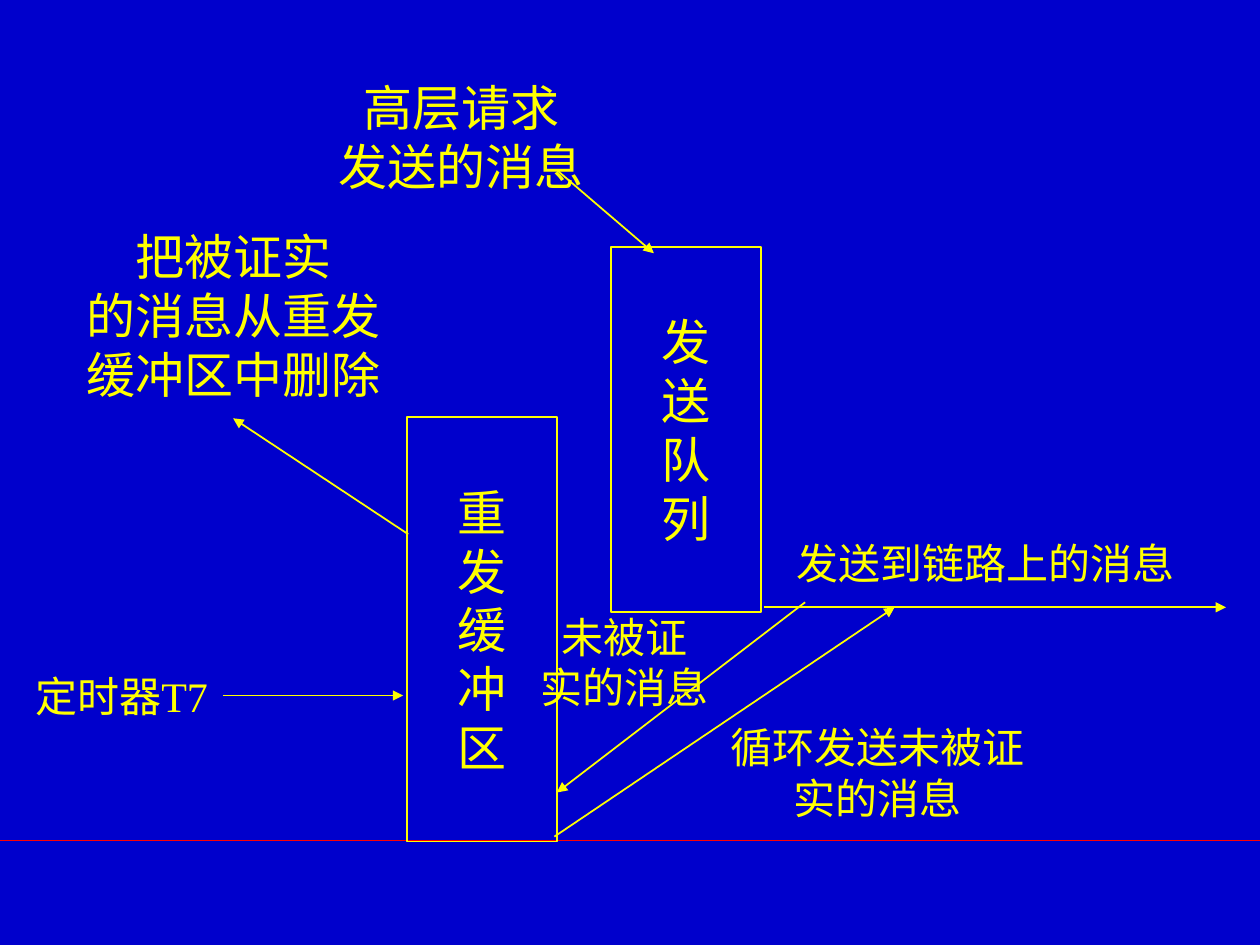
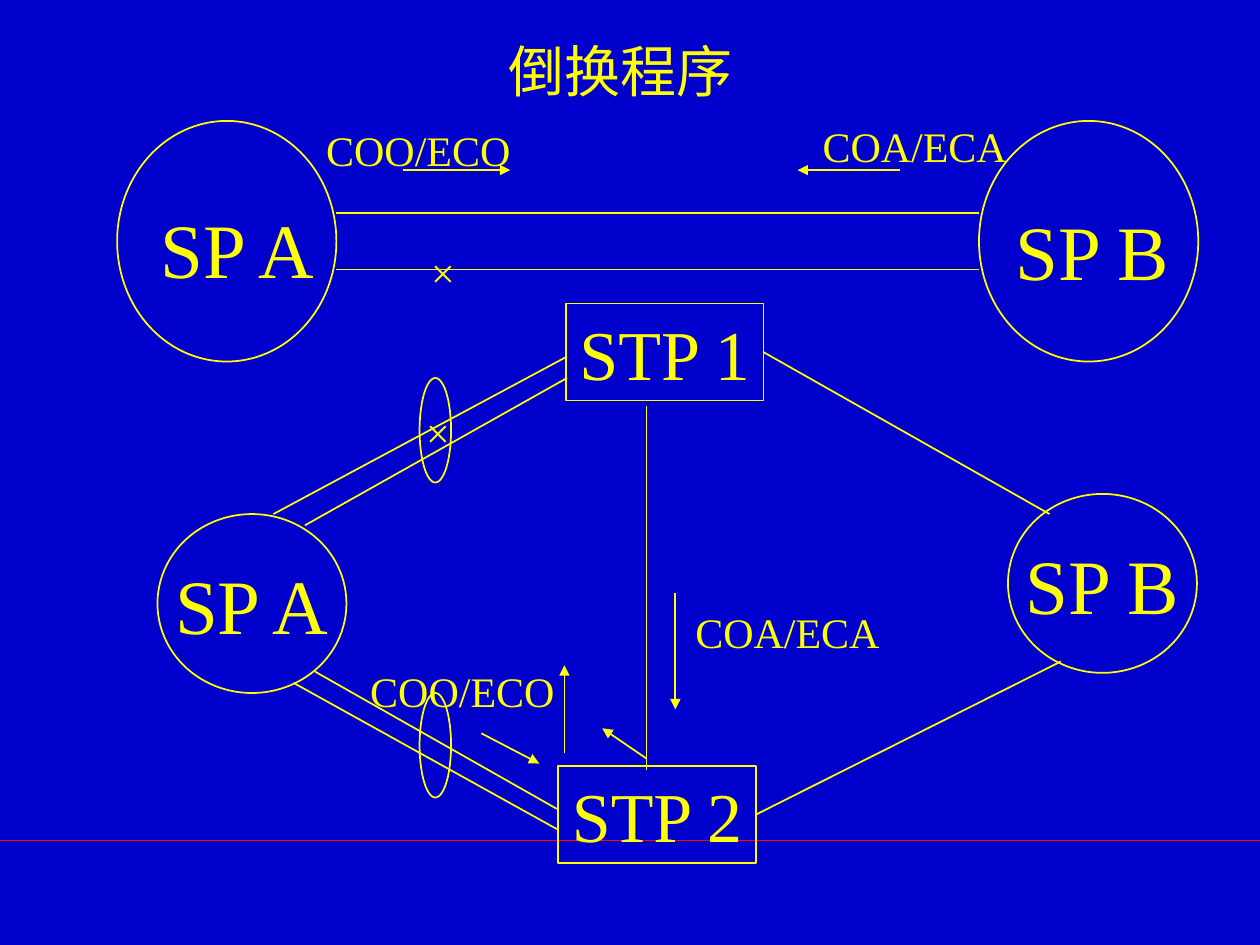
from lxml import etree
from pptx import Presentation
from pptx.dml.color import RGBColor
from pptx.enum.shapes import MSO_CONNECTOR, MSO_SHAPE
from pptx.enum.text import MSO_ANCHOR, MSO_AUTO_SIZE, PP_ALIGN
from pptx.oxml.ns import qn
from pptx.util import Inches, Pt

STRAIGHT = MSO_CONNECTOR.STRAIGHT
RECT, OVAL = MSO_SHAPE.RECTANGLE, MSO_SHAPE.OVAL
TITLE_ONLY, BLANK = 5, 6
RIGHT_SIDE = 3

COLORS = {"background": "0000CC", "ink": "FFFF00", "rule": "FF0000"}
FONT = "Times New Roman"
FRAME_FORMAT = {
    "word_wrap": False,
    "auto_size": MSO_AUTO_SIZE.NONE,
    "vertical_anchor": MSO_ANCHOR.MIDDLE,
    "margin_left": Inches(0.1),
    "margin_right": Inches(0.1),
    "margin_top": Inches(0.05),
    "margin_bottom": Inches(0.05),
}
FOOTER_RULE = ((0, 6.67), (10, 6.67))

# Slide 1: sending queue and retransmission buffer
# Boxes and labels: lines of text, (left, top, width, height), size
QUEUES = [
    (list("发送队列"), (4.85, 1.96, 1.19, 2.9), 28),
    (list("重发缓冲区"), (3.23, 3.31, 1.19, 3.37), 28),
]
MESSAGE_LABELS = [
    (["高层请求", "发送的消息"], (2.59, 0.56, 2.14, 1.04), 28),
    (["把被证实", "的消息从重发", "缓冲区中删除"], (0.59, 1.75, 2.53, 1.5), 28),
    (["发送到链路上的消息"], (6.22, 4.22, 3.2, 0.5), 24),
    (["未被证", "实的消息"], (4.19, 4.8, 1.53, 0.9), 24),
    (["定时器T7"], (0.14, 5.27, 1.65, 0.5), 24),
    (["循环发送未被证", "实的消息"], (5.7, 5.68, 2.53, 0.9), 24),
]
MESSAGE_FLOWS = [
    ((4.42, 1.35), (5.19, 2.01)),
    ((6.06, 4.82), (9.73, 4.82)),
    ((6.39, 4.78), (4.42, 6.29)),
    ((3.24, 4.24), (1.85, 3.32)),
    ((1.77, 5.52), (3.2, 5.52)),
    ((4.4, 6.64), (7.1, 4.82)),
]

# Slide 2: changeover procedure
CHANGEOVER_TITLE = ("倒换程序", (3.61, 0.24, 2.43, 0.64), 32)
DIRECT_SIZE, RELAYED_SIZE = (1.74, 1.91), (1.5, 1.42)
STP_SIZE, BUNDLE_SIZE = (1.57, 0.77), (0.25, 0.83)
PLAIN_OVALS = [
    (0.93, 0.96, *DIRECT_SIZE),
    (7.77, 0.96, *DIRECT_SIZE),
    (3.33, 3, *BUNDLE_SIZE),
    (3.33, 5.5, *BUNDLE_SIZE),
]
RELAYED_POINTS = [
    (["SP A"], (1.25, 4.08, *RELAYED_SIZE), 44),
    (["SP B"], (8, 3.92, *RELAYED_SIZE), 44),
]
# Each STP: text, place, far end of its link to SP B
TRANSFER_POINTS = [
    (["STP 1"], (4.49, 2.41, *STP_SIZE), (8.33, 4.08)),
    (["STP 2"], (4.43, 6.08, *STP_SIZE), (8.42, 5.25)),
]
SIGNAL_SIZE, CROSS_SIZE = (1.66, 0.5), (0.39, 0.5)
CHANGEOVER_LABELS = [
    (["SP A"], (1.15, 1.55, 1.47, 0.84), 44),
    (["SP B"], (7.95, 1.56, 1.44, 0.84), 44),
    (["COO/ECO"], (2.49, 0.94, *SIGNAL_SIZE), 24),
    (["COA/ECA"], (6.43, 0.91, *SIGNAL_SIZE), 24),
    (["COO/ECO"], (2.84, 5.23, *SIGNAL_SIZE), 24),
    (["COA/ECA"], (5.42, 4.76, *SIGNAL_SIZE), 24),
    (["×"], (3.32, 1.91, *CROSS_SIZE), 24),
    (["×"], (3.28, 3.18, *CROSS_SIZE), 24),
]
LINKS = [
    ((2.67, 1.69), (7.77, 1.69)),
    ((2.67, 2.14), (7.77, 2.14)),
    ((2.5, 5.33), (4.42, 6.42)),
    ((2.33, 5.42), (4.42, 6.58)),
    ((2.42, 4.17), (4.5, 3)),
    ((2.17, 4.08), (4.5, 2.83)),
    ((5.13, 3.22), (5.13, 6.11)),
]
SIGNAL_FLOWS = [
    ((3.2, 1.35), (4.05, 1.35)),
    ((7.14, 1.35), (6.33, 1.35)),
    ((3.82, 5.82), (4.28, 6.06)),
    ((4.48, 5.98), (4.48, 5.28)),
    ((5.36, 4.71), (5.36, 5.63)),
    ((5.13, 6.02), (4.78, 5.78)),
]


def color(name):
    return RGBColor.from_string(COLORS[name])


def inches(values):
    return [Inches(value) for value in values]


def write(frame, lines, size):
    for name, value in FRAME_FORMAT.items():
        setattr(frame, name, value)
    frame.text = "\n".join(lines)
    for paragraph in frame.paragraphs:
        paragraph.alignment = PP_ALIGN.CENTER
        for name, value in {"name": FONT, "size": Pt(size)}.items():
            setattr(paragraph.font, name, value)
        paragraph.font.color.rgb = color("ink")


def add_label(slide, lines, place, size):
    write(slide.shapes.add_textbox(*inches(place)).text_frame, lines, size)


def add_outline(slide, kind, place, lines=(), size=24):
    outline = slide.shapes.add_shape(kind, *inches(place))
    outline.shadow.inherit = False
    outline.fill.background()
    outline.line.color.rgb = color("ink")
    outline.line.width = Pt(1)
    if lines:
        write(outline.text_frame, lines, size)
    return outline


def add_line(slide, start, end, arrow=False, ink="ink"):
    line = slide.shapes.add_connector(STRAIGHT, *inches(start + end))
    line.line.color.rgb = color(ink)
    line.line.width = Pt(1)
    properties = line.element.spPr
    if arrow:
        etree.SubElement(properties.find(qn("a:ln")), qn("a:tailEnd"), type="triangle")
    etree.SubElement(properties, qn("a:effectLst"))
    return line


def build_message_slide(slide):
    for lines, place, size in QUEUES:
        add_outline(slide, RECT, place, lines, size)
    for label in MESSAGE_LABELS:
        add_label(slide, *label)
    for start, end in MESSAGE_FLOWS:
        add_line(slide, start, end, arrow=True)


def build_changeover_slide(slide):
    # Title, nudged right by a wider left margin
    text, place, size = CHANGEOVER_TITLE
    title = slide.shapes.title
    for name, value in zip(("left", "top", "width", "height"), inches(place)):
        setattr(title, name, value)
    write(title.text_frame, [text], size)
    title.text_frame.margin_left = Inches(0.3)

    # Signalling points and link bundles
    for place in PLAIN_OVALS:
        add_outline(slide, OVAL, place)
    for lines, place, size in RELAYED_POINTS:
        add_outline(slide, OVAL, place, lines, size)

    # Transfer points, each linked to SP B
    for lines, place, far_end in TRANSFER_POINTS:
        transfer_point = add_outline(slide, RECT, place, lines, 40)
        left, top, width, height = place
        link = add_line(slide, (left + width, top + height / 2), far_end)
        link.begin_connect(transfer_point, RIGHT_SIDE)

    # Links, signals and labels
    for start, end in LINKS:
        add_line(slide, start, end)
    for start, end in SIGNAL_FLOWS:
        add_line(slide, start, end, arrow=True)
    for label in CHANGEOVER_LABELS:
        add_label(slide, *label)


def main():
    deck = Presentation()
    deck.slide_width, deck.slide_height = inches((10, 7.5))
    fill = deck.slide_master.background.fill
    fill.solid()
    fill.fore_color.rgb = color("background")

    message_slide = deck.slides.add_slide(deck.slide_layouts[BLANK])
    # The footer rule moves to the master, so every slide shows it
    rule = add_line(message_slide, *FOOTER_RULE, ink="rule")
    deck.slide_master.element.cSld.spTree.append(rule.element)

    build_message_slide(message_slide)
    build_changeover_slide(deck.slides.add_slide(deck.slide_layouts[TITLE_ONLY]))
    deck.save("out.pptx")


if __name__ == "__main__":
    main()
